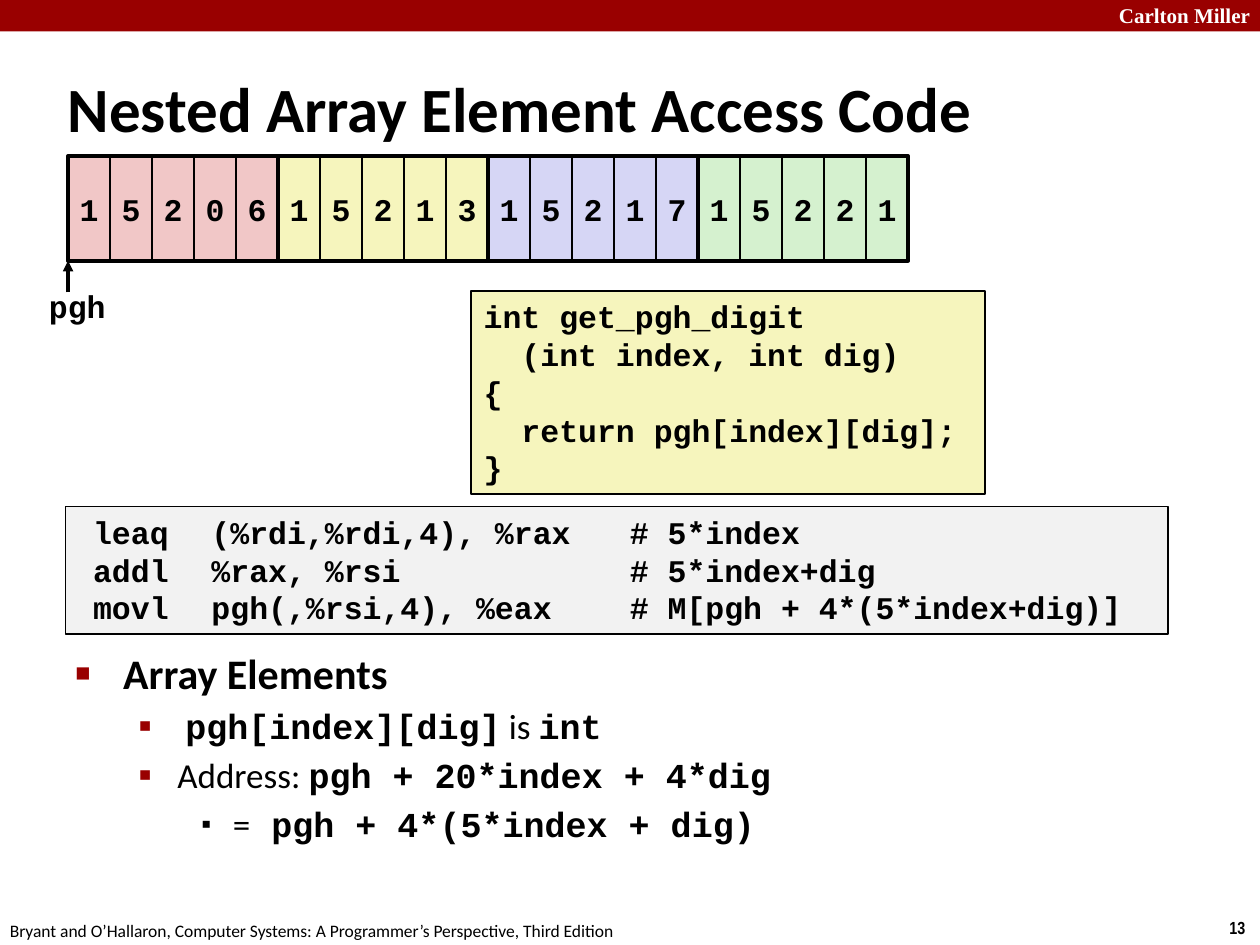
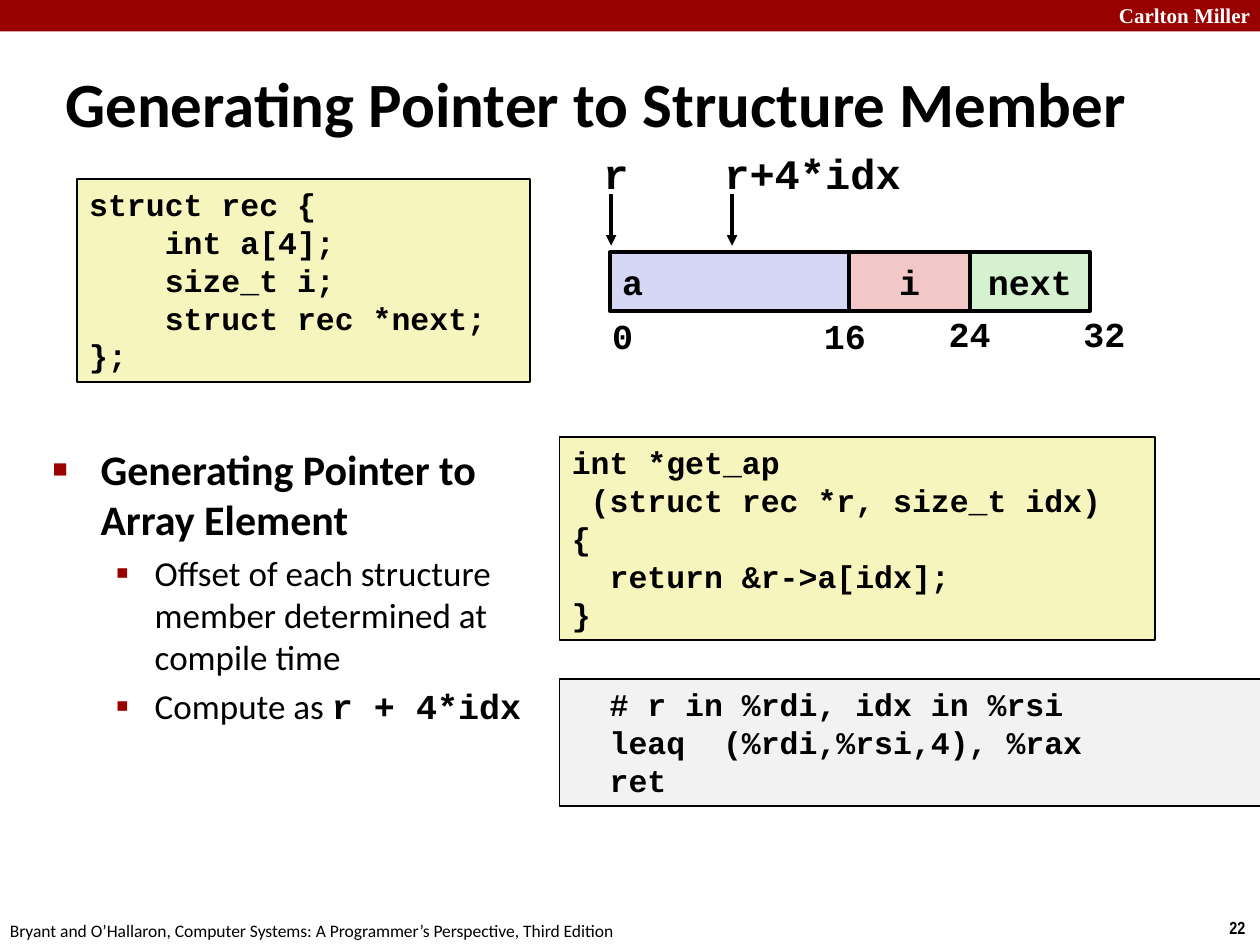
"""Build two lecture slides on array element access and structure member pointers."""
from dataclasses import dataclass
from typing import NamedTuple

from lxml import etree
from pptx import Presentation
from pptx import util as u
from pptx.dml.color import RGBColor
from pptx.enum import shapes, text
from pptx.oxml import ns


@dataclass(frozen=True)
class Theme:
    """Colours, fonts and type sizes used on every slide."""
    red: str = "990000"
    black: str = "000000"
    white: str = "FFFFFF"
    pink: str = "F1C7C7"
    yellow: str = "F6F5BD"
    lilac: str = "D6D6F5"
    green: str = "D5F1CF"
    grey: str = "F2F2F2"
    sans: str = "Calibri"
    mono: str = "Courier New"
    serif: str = "Times New Roman"
    narrow: str = "Arial Narrow"
    title: int = 36
    large: int = 24
    medium: int = 20
    code: int = 18
    band: int = 12
    footer: int = 10


class Box(NamedTuple):
    """Position and size in inches."""
    left: float
    top: float
    width: float
    height: float


class Level(NamedTuple):
    """Bullet style of one outline level."""
    margin: float
    hanging: float
    size: int
    bullet: str
    scale: int
    color: str


class Run(NamedTuple):
    """A stretch of body text, either prose or code."""
    words: str
    is_code: bool = False


class Point(NamedTuple):
    """One bulleted paragraph."""
    level: int
    runs: tuple[Run, ...]


class Field(NamedTuple):
    """One member of the structure layout."""
    name: str
    left: float
    width: float
    color: str
    align: text.PP_ALIGN


class Label(NamedTuple):
    """A short code label and its box."""
    words: str
    box: Box


THEME = Theme()
LEVELS = (
    Level(0.38, 0.38, THEME.large, "■", 60, THEME.red),
    Level(0.81, 0.31, THEME.medium, "▪", 110, THEME.red),
    Level(1.25, 0.25, THEME.medium, "▪", 80, THEME.black),
)
CODE_CHAR = 0.15


def lengths(box: Box) -> list[u.Length]:
    """Convert a box to slide lengths."""
    return [u.Inches(side) for side in box]


def add_rect(slide, box: Box, fill: str | None = None, line: float = 0):
    """Draw a plain rectangle with an optional fill and outline."""
    rect = slide.shapes.add_shape(shapes.MSO_SHAPE.RECTANGLE, *lengths(box))
    rect.shadow.inherit = False
    if fill:
        rect.fill.solid()
        rect.fill.fore_color.rgb = RGBColor.from_string(fill)
    else:
        rect.fill.background()
    if line:
        rect.line.width = u.Pt(line)
        rect.line.color.rgb = RGBColor.from_string(THEME.black)
    else:
        rect.line.fill.background()
    return rect


def add_run(paragraph, words: str, font: str, size: int, bold: bool, color: str) -> None:
    """Append formatted words to a paragraph."""
    run = paragraph.add_run()
    run.text = words
    run.font.name = font
    run.font.size = u.Pt(size)
    run.font.bold = bold
    run.font.color.rgb = RGBColor.from_string(color)


def add_text(slide, box: Box, words: str, *, font: str = THEME.mono, size: int = THEME.code,
             bold: bool = True, color: str = THEME.black, fill: str | None = None,
             line: float = 0, align=text.PP_ALIGN.LEFT, anchor=text.MSO_ANCHOR.TOP,
             wrap: bool = False, inset: float = 0.1, tabs: tuple[float, ...] = ()) -> None:
    """Write text, one paragraph a line, in a box that may be filled and outlined."""
    holder = add_rect(slide, box, fill, line) if line else slide.shapes.add_textbox(*lengths(box))
    frame = holder.text_frame
    frame.word_wrap = wrap
    frame.vertical_anchor = anchor
    frame.margin_left = frame.margin_right = u.Inches(inset)
    frame.margin_top = frame.margin_bottom = u.Inches(0.05)
    for number, row in enumerate(words.split("\n")):
        paragraph = frame.add_paragraph() if number else frame.paragraphs[0]
        paragraph.alignment = align
        code = row.lstrip(" ")
        props = paragraph._p.get_or_add_pPr()
        if code != row:
            props.set("marL", str(u.Inches(CODE_CHAR * (len(row) - len(code)))))
            props.set("indent", "0")
        if tabs:
            stops = etree.SubElement(props, ns.qn("a:tabLst"))
            for stop in tabs:
                etree.SubElement(stops, ns.qn("a:tab"), pos=str(u.Inches(stop)), algn="l")
        add_run(paragraph, code, font, size, bold, color)


def add_code(slide, box: Box, code: str, fill: str = THEME.yellow,
             tabs: tuple[float, ...] = ()) -> None:
    """Show a program listing in an outlined box."""
    add_text(slide, box, code, fill=fill, line=1, wrap=True, tabs=tabs)


def style_bullet(paragraph, level: Level) -> None:
    """Give a paragraph its indent, spacing and bullet."""
    props = paragraph._p.get_or_add_pPr()
    props.set("marL", str(u.Inches(level.margin)))
    props.set("indent", str(-u.Inches(level.hanging)))
    spacing = etree.SubElement(props, ns.qn("a:spcBef"))
    etree.SubElement(spacing, ns.qn("a:spcPct"), val="20000")
    tint = etree.SubElement(props, ns.qn("a:buClr"))
    etree.SubElement(tint, ns.qn("a:srgbClr"), val=level.color)
    etree.SubElement(props, ns.qn("a:buSzPct"), val=str(level.scale * 1000))
    etree.SubElement(props, ns.qn("a:buFont"), typeface=THEME.serif)
    etree.SubElement(props, ns.qn("a:buChar"), char=level.bullet)


def add_outline(slide, box: Box, points: tuple[Point, ...]) -> None:
    """Write the bulleted body of a slide."""
    frame = slide.shapes.add_textbox(*lengths(box)).text_frame
    frame.word_wrap = True
    for number, point in enumerate(points):
        paragraph = frame.add_paragraph() if number else frame.paragraphs[0]
        level = LEVELS[point.level]
        paragraph.level = point.level
        style_bullet(paragraph, level)
        for run in point.runs:
            add_run(paragraph, run.words, THEME.mono if run.is_code else THEME.sans,
                    level.size, run.is_code or point.level == 0, THEME.black)


def add_arrow(slide, x: float, start: float, end: float) -> None:
    """Draw a vertical arrow that points at end."""
    arrow = slide.shapes.add_connector(
        shapes.MSO_CONNECTOR.STRAIGHT, *map(u.Inches, (x, start, x, end)))
    arrow.line.width = u.Pt(2)
    arrow.line.color.rgb = RGBColor.from_string(THEME.black)
    etree.SubElement(arrow.line._get_or_add_ln(), ns.qn("a:tailEnd"), type="triangle")
    etree.SubElement(arrow._element.spPr, ns.qn("a:effectLst"))


def start_slide(deck, title: str, title_box: Box, page: int):
    """Add a slide with the shared band, footer and title."""
    slide = deck.slides.add_slide(deck.slide_layouts[6])
    add_rect(slide, Box(0, 0, 10, 0.25), THEME.red)
    add_text(slide, Box(8.44, -0.03, 1.58, 0.3), "Carlton Miller", font=THEME.serif,
             size=THEME.band, color=THEME.white, align=text.PP_ALIGN.RIGHT, wrap=True)
    add_text(slide, Box(9.66, 7.23, 0.34, 0.27), str(page), font=THEME.narrow, size=THEME.footer)
    add_text(slide, Box(-0.02, 7.25, 5.08, 0.27),
             "Bryant and O’Hallaron, Computer Systems: A Programmer’s Perspective, Third Edition",
             font=THEME.sans, size=THEME.footer, bold=False)
    add_text(slide, title_box, title, font=THEME.sans, size=THEME.title,
             anchor=text.MSO_ANCHOR.MIDDLE, wrap=True)
    return slide


def draw_digit_array(slide) -> None:
    """Draw the four rows of the nested array side by side."""
    left, top, height, row_width = 0.54, 1.24, 0.83, 5 / 3
    rows = (("15206", THEME.pink), ("15213", THEME.yellow),
            ("15217", THEME.lilac), ("15221", THEME.green))
    frames = [Box(left + row * row_width, top, row_width, height) for row in range(len(rows))]
    for (digits, color), frame in zip(rows, frames):
        cell_width = row_width / len(digits)
        for column, digit in enumerate(digits):
            add_text(slide, Box(frame.left + column * cell_width, top, cell_width, height), digit,
                     fill=color, line=1, align=text.PP_ALIGN.CENTER,
                     anchor=text.MSO_ANCHOR.MIDDLE, inset=0)
    for frame in frames:
        add_rect(slide, frame, line=2.25)
    add_arrow(slide, left, 2.32, 2.07)
    add_text(slide, Box(0.29, 2.23, 0.66, 0.4), "pgh")


def draw_struct_layout(slide) -> None:
    """Draw the members of the structure with their offsets and pointers."""
    center = text.PP_ALIGN.CENTER
    for field in (Field("a", 4.84, 1.9, THEME.lilac, text.PP_ALIGN.LEFT),
                  Field("i", 6.74, 0.96, THEME.pink, center),
                  Field("next", 7.7, 0.95, THEME.green, center)):
        add_text(slide, Box(field.left, 2, field.width, 0.47), field.name, size=THEME.medium,
                 fill=field.color, line=2, align=field.align,
                 anchor=text.MSO_ANCHOR.MIDDLE, wrap=True)
    for offset in (Label("0", Box(4.76, 2.45, 0.36, 0.43)),
                   Label("16", Box(6.44, 2.45, 0.54, 0.43)),
                   Label("24", Box(7.43, 2.43, 0.54, 0.43)),
                   Label("32", Box(8.5, 2.43, 0.54, 0.43))):
        add_text(slide, offset.box, offset.words, size=THEME.medium)
    for pointer in (Label("r", Box(4.69, 1.12, 0.4, 0.5)),
                    Label("r+4*idx", Box(5.65, 1.12, 1.62, 0.5))):
        add_text(slide, pointer.box, pointer.words, size=THEME.large)
        add_arrow(slide, pointer.box.left + 0.16, 1.54, 1.95)


def build_array_slide(deck) -> None:
    """Build the slide on nested array element access."""
    slide = start_slide(deck, "Nested Array Element Access Code", Box(0.44, 0.54, 9.06, 0.63), 13)
    add_outline(slide, Box(0.5, 5.09, 9.1, 1.91), (
        Point(0, (Run("Array Elements"),)),
        Point(1, (Run(" "), Run("pgh[index][dig]", True), Run(" is "), Run("int", True))),
        Point(1, (Run("Address: "), Run("pgh + 20*index + 4*dig", True))),
        Point(2, (Run("="), Run(" pgh + 4*(5*index + dig)", True))),
    ))
    add_code(slide, Box(3.74, 2.31, 4.08, 1.61), """int get_pgh_digit
  (int index, int dig)
{
  return pgh[index][dig];
}""")
    add_code(slide, Box(0.52, 4.02, 8.75, 1.01),
             "\tleaq\t(%rdi,%rdi,4), %rax\t# 5*index\n"
             "\taddl\t%rax, %rsi\t# 5*index+dig\n"
             "\tmovl\tpgh(,%rsi,4), %eax\t# M[pgh + 4*(5*index+dig)]",
             THEME.grey, (0.12, 1.06, 4.38))
    draw_digit_array(slide)


def build_struct_slide(deck) -> None:
    """Build the slide on pointers to structure members."""
    slide = start_slide(deck, "Generating Pointer to Structure Member",
                        Box(0.42, 0.5, 9.08, 0.63), 22)
    add_code(slide, Box(4.44, 5.39, 5.57, 1.01),
             "\t# r in %rdi, idx in %rsi\n\tleaq\t(%rdi,%rsi,4), %rax\n\tret",
             THEME.grey, (0.3, 1.2))
    add_code(slide, Box(4.44, 3.47, 4.73, 1.61), """int *get_ap
 (struct rec *r, size_t idx)
{
  return &r->a[idx];
}""")
    add_outline(slide, Box(0.32, 3.47, 4.2, 3.13), (
        Point(0, (Run("Generating Pointer to Array Element"),)),
        Point(1, (Run("Offset of each structure member determined at compile time"),)),
        Point(1, (Run("Compute as "), Run("r + 4*idx", True))),
    ))
    draw_struct_layout(slide)
    add_code(slide, Box(0.61, 1.42, 3.6, 1.61), """struct rec {
    int a[4];
    size_t i;
    struct rec *next;
};""")


def main() -> None:
    """Build and save the deck."""
    deck = Presentation()
    deck.slide_width, deck.slide_height = u.Inches(10), u.Inches(7.5)
    build_array_slide(deck)
    build_struct_slide(deck)
    deck.save("out.pptx")


if __name__ == "__main__":
    main()
